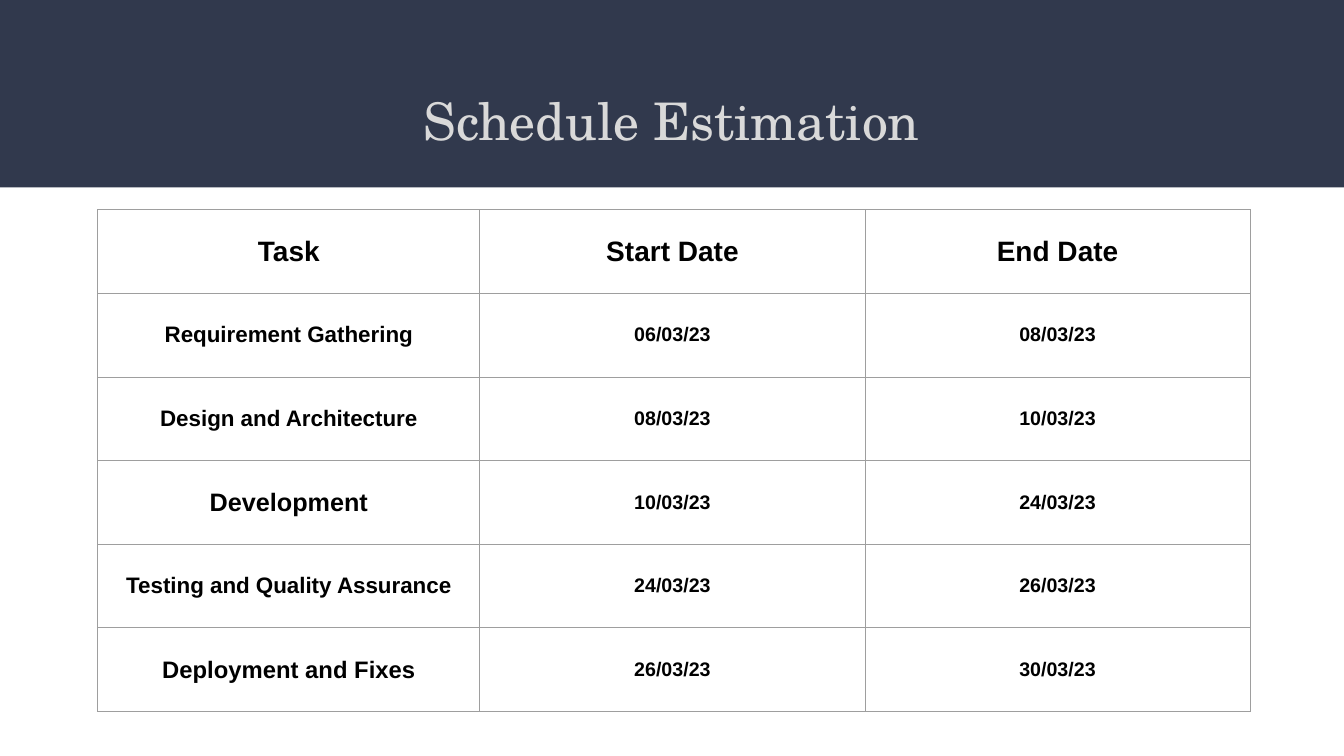
from lxml.etree import SubElement
from pptx import Presentation
from pptx.dml.color import RGBColor
from pptx.enum.shapes import MSO_SHAPE
from pptx.enum.text import MSO_ANCHOR, PP_ALIGN
from pptx.oxml import parse_xml
from pptx.oxml.ns import nsdecls, qn
from pptx.util import Inches, Pt

NAVY = RGBColor(0x31, 0x39, 0x4D)
LIGHT_GREY = RGBColor(0xD9, 0xD9, 0xD9)
BORDER_GREY = RGBColor(0x9E, 0x9E, 0x9E)
BLACK = RGBColor(0, 0, 0)

COLUMN_WIDTHS = (3.79, 3.82, 3.82)
ROW_HEIGHT = 0.83
HEADER_SIZE, DATE_SIZE = 20, 14
HEADERS = ("Task", "Start Date", "End Date")
# Task, task text size, start date, end date
TASKS = (
    ("Requirement Gathering", 16, "06/03/23", "08/03/23"),
    ("Design and Architecture", 16, "08/03/23", "10/03/23"),
    ("Development", 18, "10/03/23", "24/03/23"),
    ("Testing and Quality Assurance", 16, "24/03/23", "26/03/23"),
    ("Deployment and Fixes", 17, "26/03/23", "30/03/23"),
)


class SlideBuilder:
    title_font = {"name": "TeX Gyre Schola", "size": Pt(37)}
    table_font = {"name": "Arial", "bold": True}

    def __init__(self, page):
        self.page = page

    def add_text(self, frame, text, color, font):
        para = frame.paragraphs[0]
        para.alignment = PP_ALIGN.CENTER
        span = para.add_run()
        span.text = text
        span.font.color.rgb = color
        for name, value in font.items():
            setattr(span.font, name, value)

    def set_margins(self, target, margin):
        for side in ("left", "top", "right", "bottom"):
            setattr(target, f"margin_{side}", Inches(margin))

    def band(self, left, top, width, height):
        shape = self.page.shapes.add_shape(
            MSO_SHAPE.RECTANGLE, *map(Inches, (left, top, width, height)))
        shape.shadow.inherit = False
        shape.fill.solid()
        shape.fill.fore_color.rgb = NAVY
        shape.line.fill.background()

    def title(self, text, left, top, width, height):
        box = self.page.shapes.add_textbox(
            *map(Inches, (left, top, width, height)))
        frame = box.text_frame
        frame.word_wrap = True
        frame.vertical_anchor = MSO_ANCHOR.MIDDLE
        self.set_margins(frame, 0.13)
        self.add_text(frame, text, LIGHT_GREY, self.title_font)

    def table(self, rows, left, top):
        table = self.page.shapes.add_table(
            len(rows), len(COLUMN_WIDTHS), Inches(left), Inches(top),
            Inches(sum(COLUMN_WIDTHS)), Inches(ROW_HEIGHT * len(rows))).table
        table.first_row = table.horz_banding = False
        for column, width in zip(table.columns, COLUMN_WIDTHS):
            column.width = Inches(width)
        for row, entries in zip(table.rows, rows):
            row.height = Inches(ROW_HEIGHT)
            for cell, (text, size) in zip(row.cells, entries):
                self.cell(cell, text, size)

    def cell(self, cell, text, size):
        cell.vertical_anchor = MSO_ANCHOR.MIDDLE
        cell.fill.background()
        self.set_margins(cell, 0.1)
        self.add_text(cell.text_frame, text, BLACK,
                      {**self.table_font, "size": Pt(size)})
        # Borders come before the fill in the cell properties
        properties = cell._tc.get_or_add_tcPr()
        for index, side in enumerate("LRTB"):
            line = parse_xml(f'<a:ln{side} {nsdecls("a")} w="{Pt(0.75)}"/>')
            fill = SubElement(line, qn("a:solidFill"))
            SubElement(fill, qn("a:srgbClr"), val=str(BORDER_GREY))
            properties.insert(index, line)


def main():
    deck = Presentation()
    deck.slide_width, deck.slide_height = Inches(13.33), Inches(7.5)
    builder = SlideBuilder(deck.slides.add_slide(deck.slide_layouts[6]))

    # Title band
    builder.band(0, 0, 13.33, 1.86)
    builder.title("Schedule Estimation", 0.45, 0.73, 12.42, 0.91)

    # Schedule table
    rows = [[(header, HEADER_SIZE) for header in HEADERS]]
    for task, size, start, end in TASKS:
        rows.append([(task, size), (start, DATE_SIZE), (end, DATE_SIZE)])
    builder.table(rows, 0.97, 2.08)

    deck.save("out.pptx")


if __name__ == "__main__":
    main()
